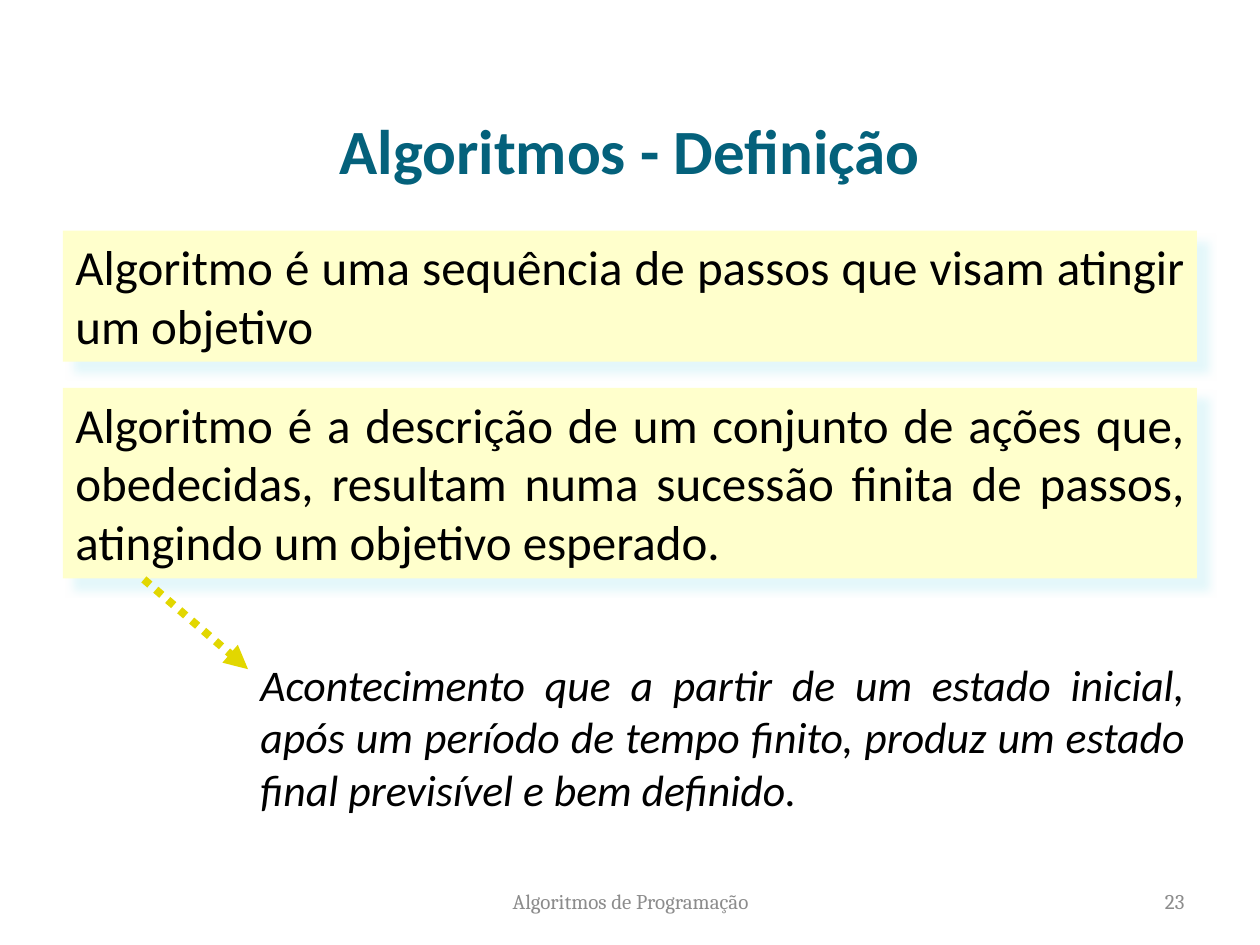
"""Build the slide that defines the term algorithm."""
from dataclasses import dataclass

from lxml import etree
from pptx import Presentation
from pptx.dml.color import RGBColor
from pptx.enum.dml import MSO_LINE
from pptx.enum.shapes import MSO_CONNECTOR, MSO_SHAPE
from pptx.enum.text import MSO_ANCHOR, MSO_AUTO_SIZE, PP_ALIGN
from pptx.oxml.ns import qn
from pptx.shapes.autoshape import Shape
from pptx.slide import Slide
from pptx.util import Cm, Pt

RECTANGLE = MSO_SHAPE.RECTANGLE
STRAIGHT = MSO_CONNECTOR.STRAIGHT
DOTTED = MSO_LINE.ROUND_DOT
TOP, MIDDLE = MSO_ANCHOR.TOP, MSO_ANCHOR.MIDDLE
FIXED = MSO_AUTO_SIZE.NONE
CENTER, RIGHT, JUSTIFY = PP_ALIGN.CENTER, PP_ALIGN.RIGHT, PP_ALIGN.JUSTIFY


@dataclass(frozen=True)
class Theme:
    title: str = "04617B"
    ink: str = "000000"
    muted: str = "8C8C8C"
    card: str = "FFFFCC"
    shadow: str = "DBF5F9"
    arrow: str = "E2D700"
    font: str = "Calibri"
    footer_font: str = "Cambria"
    title_size: int = 36
    card_size: int = 28
    note_size: int = 25
    footer_size: int = 12


@dataclass(frozen=True)
class Box:
    left: float
    top: float
    width: float
    height: float

    def lengths(self) -> tuple[Cm, Cm, Cm, Cm]:
        """Return the box as slide lengths."""
        return Cm(self.left), Cm(self.top), Cm(self.width), Cm(self.height)


@dataclass(frozen=True)
class Definition:
    text: str
    height: float


THEME = Theme()
MARGIN, CONTENT_WIDTH = 1.27, 22.86
CARDS_TOP, CARD_GAP = 4.65, 0.53
FOOTER_TOP, FOOTER_HEIGHT = 17.65, 1.02
NOTE = Box(5, 13.13, 19.13, 3.45)
ARROW_START, ARROW_END = (2.9, 11.68), (5, 13.49)

TITLE_FORMAT = {"name": THEME.font, "size": Pt(THEME.title_size), "bold": True}
CARD_FORMAT = {"name": THEME.font, "size": Pt(THEME.card_size)}
NOTE_FORMAT = {"name": THEME.font, "size": Pt(THEME.note_size), "italic": True}
FOOTER_FORMAT = {"name": THEME.footer_font, "size": Pt(THEME.footer_size)}

DEFINITIONS = (
    Definition("Algoritmo é uma sequência de passos que visam atingir um objetivo", 2.64),
    Definition(
        "Algoritmo é a descrição de um conjunto de ações que, obedecidas, resultam "
        "numa sucessão finita de passos, atingindo um objetivo esperado.",
        3.84,
    ),
)
EVENT_MEANING = (
    "Acontecimento que a partir de um estado inicial, após um período de tempo "
    "finito, produz um estado final previsível e bem definido."
)
FOOTERS = (
    ("Algoritmos de Programação", Box(8.69, FOOTER_TOP, 8.05, FOOTER_HEIGHT), CENTER),
    ("23", Box(18.21, FOOTER_TOP, 5.92, FOOTER_HEIGHT), RIGHT),
)


def write(shape: Shape, text: str, color: str, font_format: dict,
          alignment: PP_ALIGN, anchor: MSO_ANCHOR = TOP) -> None:
    """Put one formatted paragraph into a shape."""
    frame = shape.text_frame
    frame.word_wrap = True
    frame.auto_size = FIXED
    frame.vertical_anchor = anchor
    paragraph = frame.paragraphs[0]
    paragraph.alignment = alignment
    run = paragraph.add_run()
    run.text = text
    for attribute, value in font_format.items():
        setattr(run.font, attribute, value)
    run.font.color.rgb = RGBColor.from_string(color)


def add_title(slide: Slide, text: str, box: Box) -> None:
    """Place and fill the title placeholder."""
    title = slide.shapes.title
    title.left, title.top, title.width, title.height = box.lengths()
    write(title, text, THEME.title, TITLE_FORMAT, CENTER)


def add_text(slide: Slide, text: str, box: Box, color: str, font_format: dict,
             alignment: PP_ALIGN, anchor: MSO_ANCHOR = TOP) -> None:
    """Add a free text box."""
    label = slide.shapes.add_textbox(*box.lengths())
    write(label, text, color, font_format, alignment, anchor)


def cast_shadow(shape: Shape) -> None:
    """Give a shape a soft shadow to the lower right."""
    shape.shadow.inherit = False
    effects = shape._element.spPr.find(qn("a:effectLst"))
    shadow = etree.SubElement(
        effects, qn("a:outerShdw"), blurRad=str(Pt(5)), dist=str(Pt(8.5)),
        dir=str(45 * 60000), algn="tl", rotWithShape="0",
    )
    tint = etree.SubElement(shadow, qn("a:srgbClr"), val=THEME.shadow)
    etree.SubElement(tint, qn("a:alpha"), val="75000")


def add_card(slide: Slide, text: str, box: Box) -> None:
    """Add a shaded definition card."""
    card = slide.shapes.add_shape(RECTANGLE, *box.lengths())
    card.fill.solid()
    card.fill.fore_color.rgb = RGBColor.from_string(THEME.card)
    card.line.fill.background()
    cast_shadow(card)
    write(card, text, THEME.ink, CARD_FORMAT, JUSTIFY)


def add_arrow(slide: Slide, start: tuple[float, float], end: tuple[float, float]) -> None:
    """Add a dotted arrow without a shadow."""
    arrow = slide.shapes.add_connector(STRAIGHT, *map(Cm, start + end))
    arrow.line.color.rgb = RGBColor.from_string(THEME.arrow)
    arrow.line.width = Pt(4.5)
    arrow.line.dash_style = DOTTED
    properties = arrow._element.spPr
    etree.SubElement(properties.find(qn("a:ln")), qn("a:tailEnd"), type="triangle")
    etree.SubElement(properties, qn("a:effectLst"))


def main() -> None:
    """Build and save the slide."""
    presentation = Presentation()
    presentation.slide_width, presentation.slide_height = Cm(25.4), Cm(19.05)
    slide = presentation.slides.add_slide(presentation.slide_layouts[5])

    add_title(slide, "Algoritmos - Definição", Box(MARGIN, 2.13, CONTENT_WIDTH, 2.36))
    card_top = CARDS_TOP
    for definition in DEFINITIONS:
        add_card(slide, definition.text,
                 Box(MARGIN, card_top, CONTENT_WIDTH, definition.height))
        card_top += definition.height + CARD_GAP
    add_arrow(slide, ARROW_START, ARROW_END)
    add_text(slide, EVENT_MEANING, NOTE, THEME.ink, NOTE_FORMAT, JUSTIFY)
    for text, box, alignment in FOOTERS:
        add_text(slide, text, box, THEME.muted, FOOTER_FORMAT, alignment, MIDDLE)

    presentation.save("out.pptx")


if __name__ == "__main__":
    main()
